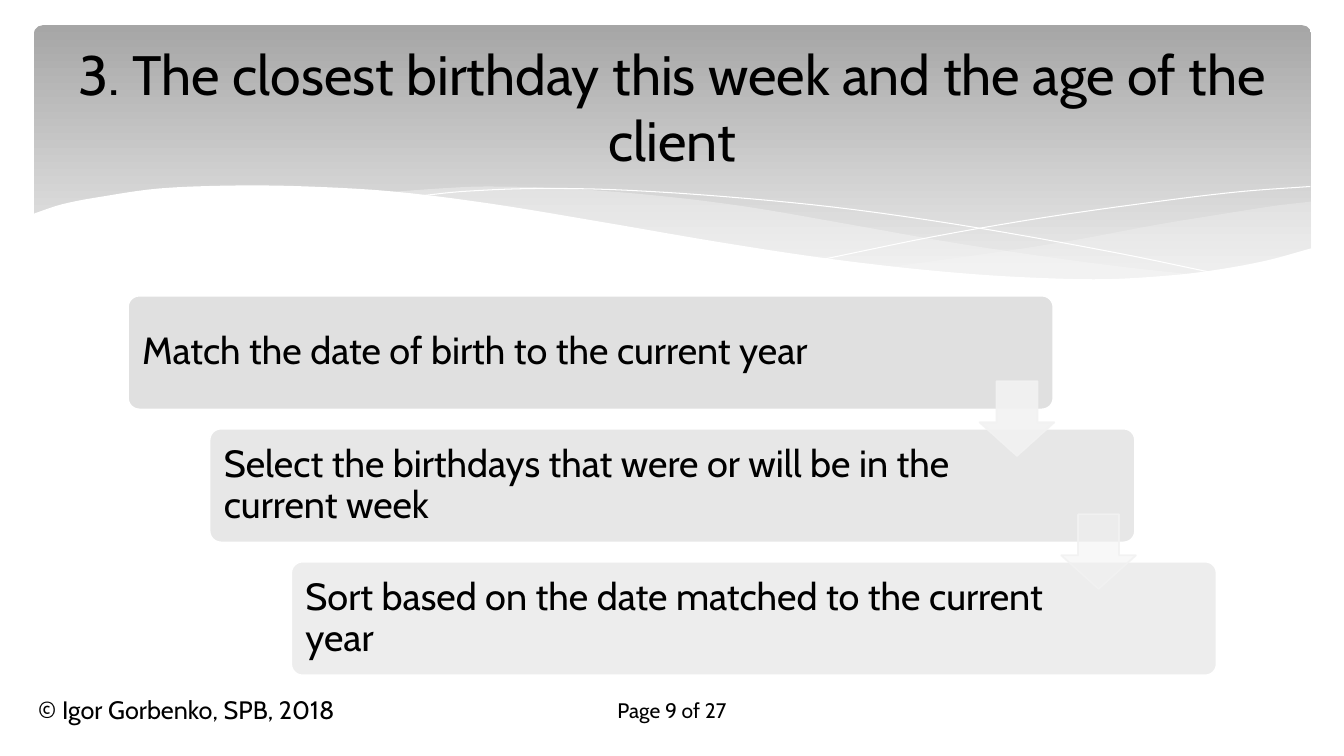
from dataclasses import dataclass
from itertools import pairwise

from lxml.etree import SubElement
from pptx import Presentation
from pptx.dml.color import RGBColor as Color
from pptx.enum.shapes import MSO_SHAPE as Preset
from pptx.enum.text import MSO_ANCHOR as Anchor, PP_ALIGN as Align
from pptx.oxml.ns import qn
from pptx.util import Pt


@dataclass(frozen=True)
class Theme:
    font: str = "Cabin"
    text: str = "000000"
    paper: str = "FFFFFF"
    band_top: str = "A6A6A6"
    band_bottom: str = "EBEBEB"
    veil: str = "F8F8F8"
    step: str = "DDDDDD"
    arrow: str = "F2F2F2"
    title_size: float = 39.6
    step_size: float = 27
    credit_size: float = 18
    page_size: float = 15
    outline: float = 1.25


@dataclass(frozen=True)
class Box:
    left: float
    top: float
    width: float
    height: float

    def inner(self, left, top, width, height):
        return Box(self.left + left, self.top + top, width, height)

    def lengths(self):
        return [Pt(value) for value in (self.left, self.top, self.width, self.height)]


THEME = Theme()
SLIDE = Box(0, 0, 960, 540)

GROUND_WAVE = [
    [(-2, 135.4), (20, 128), (49, 122.4), (90, 116.6), (145, 114.5), (196, 115.2),
     (257, 118.8), (326, 127.4), (405, 140.4), (484, 154), (555, 165), (617.5, 172.8),
     (674, 178), (723, 180.7), (766, 181.4), (805, 179.3), (838.6, 175.7),
     (879, 168.5), (914, 159)],
    [(914, 219), (-2, 219)],
]
RIGHT_VEIL = [
    [(611, 172.8), (653.5, 167), (699.6, 160.6), (748.6, 152.6), (802, 142.6),
     (846, 135.4), (887, 129), (912.7, 126)],
    [(912.7, 159.8), (874, 170.6), (837, 176.4), (795, 180.7), (747, 182),
     (702.5, 180.7), (653, 177), (611, 172.8)],
]
WIDE_VEIL = [
    [(251, 119.5), (290.6, 116.6), (323, 115.2), (379, 116.6), (445, 121.7),
     (509, 129.6), (580, 141.8), (653.5, 154.8), (720.5, 165), (779.5, 172.8),
     (833, 178.6)],
    [(833, 178.6), (790, 181.4), (740, 182), (682, 180), (614.6, 173.5),
     (537, 163.4), (484, 154.8), (407, 141.8), (344, 131), (304, 125.3), (251, 119.5)],
]
FALLING_LINE = [(272.6, 122.4), (306, 118.8), (361, 116.6), (426, 118), (510, 123.8),
                (586.6, 131.8), (674, 144.7), (774, 162.7), (847, 177.8)]
RISING_LINE = [(565, 167), (643, 151), (721, 137.5), (807.6, 125.3), (863, 118.8),
               (912, 115.2)]

STEPS = [
    ("Match the date of birth to the current year", 90, 573),
    ("Select the birthdays that were or will be in the current week", 70, 545),
    ("Sort based on the date matched to the current year", 50, 545),
]
ARROW_OPACITIES = [90, 50]


def apply(target, values):
    for name, value in values.items():
        setattr(target, name, value)


def paint(fill, color, opacity=100):
    fill.solid()
    fill.fore_color.rgb = Color.from_string(color)
    if opacity < 100:
        node = fill._xPr.find(qn("a:solidFill"))[0]
        SubElement(node, qn("a:alpha")).set("val", str(opacity * 1000))


def add_text(slide, box, text, size, align=Align.LEFT, inset=None, spacing=None):
    shape = slide.shapes.add_textbox(*box.lengths())
    frame = shape.text_frame
    apply(frame, {"word_wrap": True, "vertical_anchor": Anchor.MIDDLE})
    if inset is not None:
        sides = ("left", "top", "right", "bottom")
        apply(frame, {f"margin_{side}": Pt(inset) for side in sides})
    paragraph = frame.paragraphs[0]
    apply(paragraph, {"alignment": align, "line_spacing": spacing})
    run = paragraph.add_run()
    run.text = text
    apply(run.font, {"name": THEME.font, "size": Pt(size)})
    run.font.color.rgb = Color.from_string(THEME.text)


def add_preset(slide, preset, box, adjustments):
    shape = slide.shapes.add_shape(preset, *box.lengths())
    shape.shadow.inherit = False
    for index, value in enumerate(adjustments):
        shape.adjustments[index] = value
    return shape


def outline(shape, color, width, opacity=100):
    shape.line.width = Pt(width)
    paint(shape.line.fill, color, opacity)


def smooth(points, pieces=5):
    slopes = [(points[0], points[1])]
    slopes += list(zip(points, points[2:]))
    slopes.append((points[-2], points[-1]))
    slopes = [((y2 - y1) / (x2 - x1)) for (x1, y1), (x2, y2) in slopes]
    curve = [points[0]]
    for ((x1, y1), (x2, y2)), (m1, m2) in zip(pairwise(points), pairwise(slopes)):
        span = x2 - x1
        for piece in range(1, pieces + 1):
            t = piece / pieces
            y = (y1 * (1 + 2 * t) * (1 - t) ** 2 + span * m1 * t * (1 - t) ** 2
                 + y2 * t * t * (3 - 2 * t) + span * m2 * t * t * (t - 1))
            curve.append((x1 + span * t, y))
    return curve


def add_outline(slide, box, edges, close=True):
    points = [(Pt(box.left + x), Pt(box.top + y))
              for edge in edges for x, y in smooth(edge)]
    builder = slide.shapes.build_freeform(*points[0])
    builder.add_line_segments(points[1:], close=close)
    shape = builder.convert_to_shape()
    shape.shadow.inherit = False
    return shape


def draw_header(slide, box):
    band = add_preset(slide, Preset.ROUNDED_RECTANGLE, box, [0.034])
    band.line.fill.background()
    band.fill.gradient()
    band.fill.gradient_angle = 270
    stops = [(0, THEME.band_top), (0.9, THEME.band_bottom)]
    for stop, (position, color) in zip(band.fill.gradient_stops, stops):
        stop.position = position
        stop.color.rgb = Color.from_string(color)

    for edges, opacity in [(RIGHT_VEIL, 29), (WIDE_VEIL, 40)]:
        veil = add_outline(slide, box, edges)
        paint(veil.fill, THEME.veil, opacity)
        veil.line.fill.background()
    for points in (FALLING_LINE, RISING_LINE):
        line = add_outline(slide, box, [points], close=False)
        line.fill.background()
        outline(line, THEME.paper, 0)
    ground = add_outline(slide, box, GROUND_WAVE)
    paint(ground.fill, THEME.paper)
    ground.line.fill.background()

    add_text(slide, box.inner(24.2, 8.6, 864, 98.6),
             "3. The closest birthday this week and the age of the client",
             THEME.title_size, Align.CENTER)


def draw_steps(slide, box):
    width, height = 661, 81.2
    shift = (box.width - width) / (len(STEPS) - 1)
    pitch = (box.height - height) / (len(STEPS) - 1)
    for index, (text, opacity, text_width) in enumerate(STEPS):
        card_box = box.inner(index * shift, index * pitch, width, height)
        card = add_preset(slide, Preset.ROUNDED_RECTANGLE, card_box, [0.1])
        paint(card.fill, THEME.step, opacity)
        outline(card, THEME.paper, THEME.outline)
        add_text(slide, card_box.inner(2.2, 2.2, text_width, height - 4.4), text,
                 THEME.step_size, inset=8, spacing=0.9)
    for index, opacity in enumerate(ARROW_OPACITIES):
        arrow_box = box.inner(608.4 + index * shift, 61.2 + index * pitch, 53.3, 53.3)
        arrow = add_preset(slide, Preset.DOWN_ARROW, arrow_box, [0.55, 0.45])
        paint(arrow.fill, THEME.arrow, opacity)
        outline(arrow, THEME.arrow, THEME.outline, 90)


def draw_footer(slide, box):
    add_text(slide, box.inner(0, 0, 397.4, box.height),
             "© Igor Gorbenko, SPB, 2018", THEME.credit_size)
    add_text(slide, box.inner(398.9, 0, 121.7, box.height), "Page 9 of 27",
             THEME.page_size, Align.CENTER)


def main():
    presentation = Presentation()
    apply(presentation, {"slide_width": Pt(SLIDE.width), "slide_height": Pt(SLIDE.height)})
    slide = presentation.slides.add_slide(presentation.slide_layouts[6])
    draw_header(slide, SLIDE.inner(24, 18, 912.7, 194.4))
    draw_steps(slide, SLIDE.inner(91.4, 211.2, 777.6, 271.2))
    draw_footer(slide, SLIDE.inner(20.2, 492.5, 520.6, 28.8))
    presentation.save("out.pptx")


if __name__ == "__main__":
    main()
